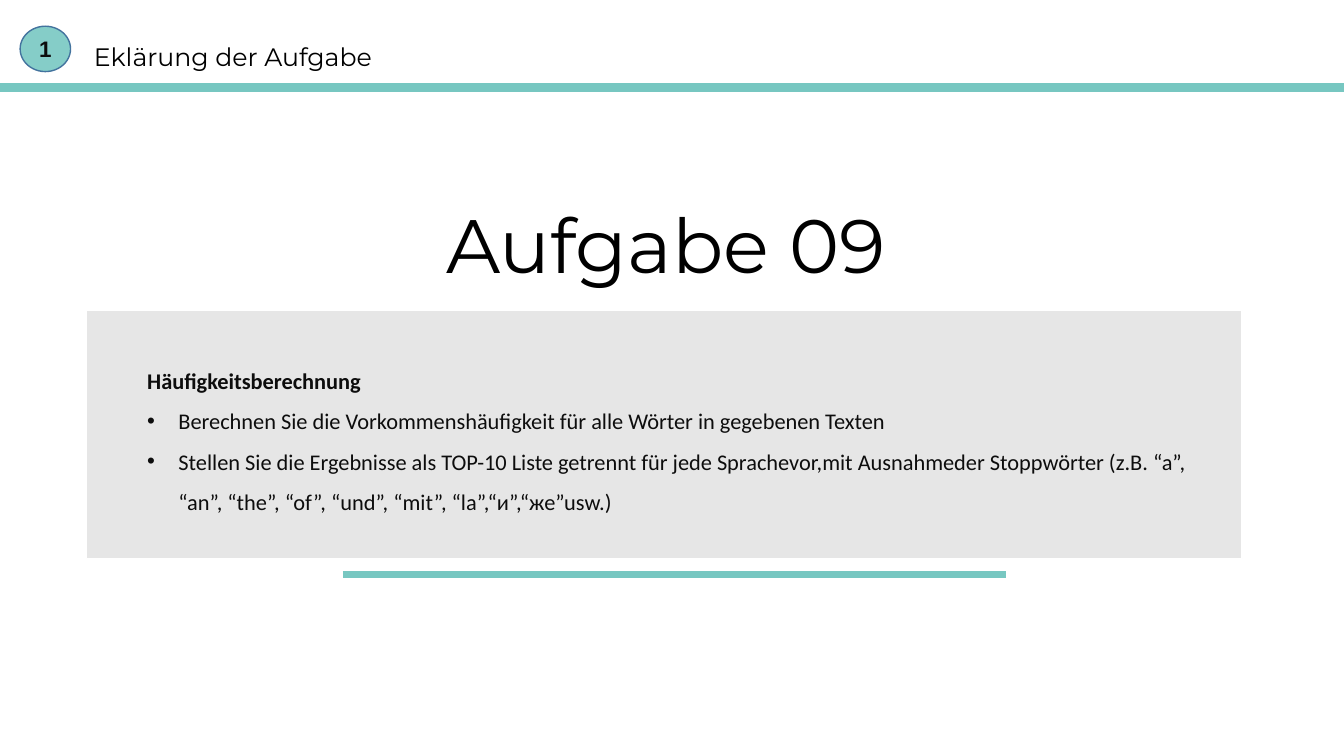
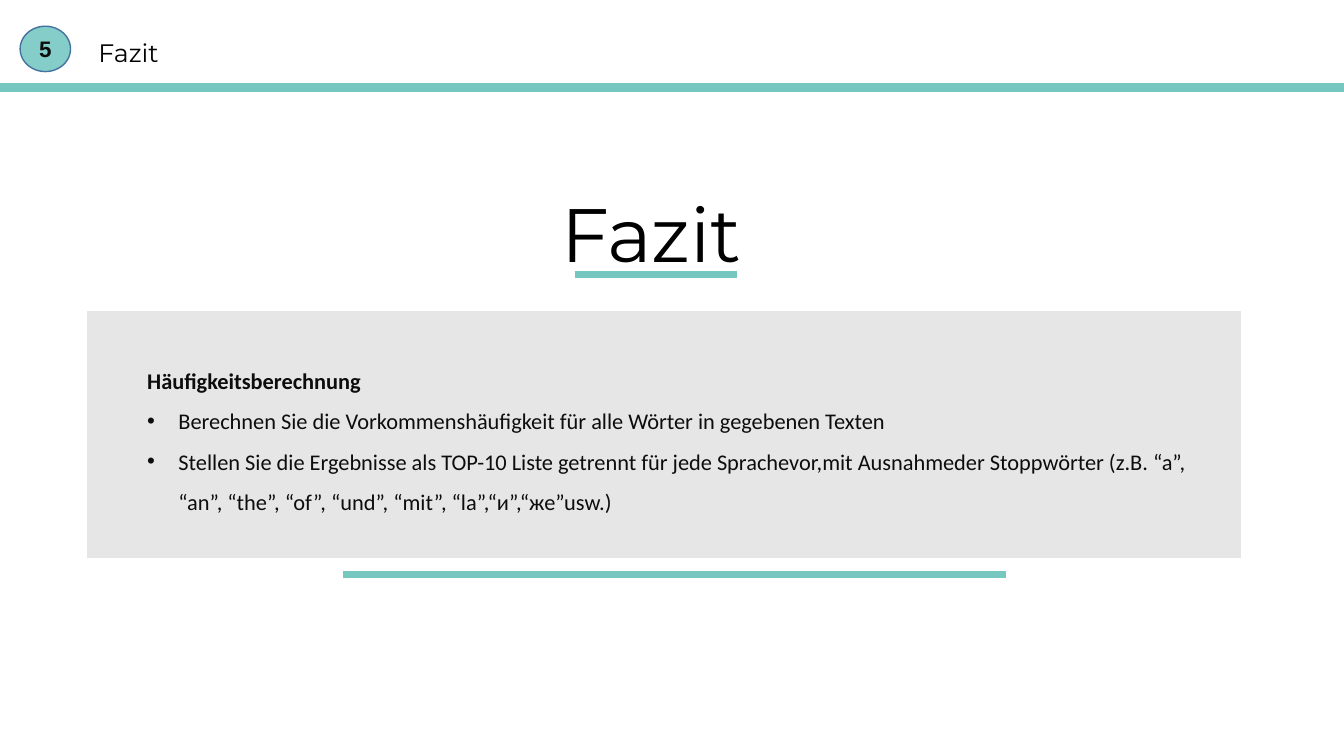
import pptx
import pptx.util
import pptx.dml.color
import pptx.enum.shapes
import pptx.enum.text
import pptx.oxml.ns
import lxml.etree

Inches, Pt = pptx.util.Inches, pptx.util.Pt
Align = pptx.enum.text.PP_ALIGN
Anchor = pptx.enum.text.MSO_ANCHOR
WIDE, HIGH = Inches(13.33), Inches(7.5)

COLOR = {
    "teal": "77C7C1",
    "mint": "85CDC8",
    "blue": "43739E",
    "gray": "E6E6E6",
    "white": "FFFFFF",
    "black": "000000",
    "ink": "0D0D0D",
}
FONT = {
    "title": {"name": "Montserrat", "size": Pt(54), "bold": False},
    "head": {"name": "Montserrat", "size": Pt(18), "bold": False},
    "badge": {"name": "Arial", "size": Pt(16), "bold": True},
    "lead": {"name": "Calibri", "size": Pt(16), "bold": True},
    "point": {"name": "Calibri", "size": Pt(16), "bold": False},
}
SNUG = {"word_wrap": False, "vertical_anchor": Anchor.TOP,
        "auto_size": pptx.enum.text.MSO_AUTO_SIZE.NONE}
MID = {**SNUG, "word_wrap": True, "vertical_anchor": Anchor.MIDDLE}
CENTER = {"alignment": Align.CENTER}
ROW = {"alignment": Align.LEFT, "line_spacing": 1.5,
       "space_before": Pt(0), "space_after": Pt(0)}

LEAD = "Häufigkeitsberechnung"
POINTS = [
    "Berechnen Sie die Vorkommenshäufigkeit für alle Wörter in gegebenen Texten",
    "Stellen Sie die Ergebnisse als TOP-10 Liste getrennt für jede "
    "Sprachevor,mit Ausnahmeder Stoppwörter (z.B. “a”, “an”, “the”, “of”, "
    "“und”, “mit”, “la”,“и”,“же”usw.)",
]
PAGES = [
    {"num": "1", "head": "Eklärung der Aufgabe", "head_at": (5.4, 4.8, 23.86, 5.33),
     "title": "Aufgabe 09", "title_at": (31.28, 25.47, 36.53, 13.47), "rule": None},
    {"num": "5", "head": "Fazit", "head_at": (6.3, 4.27, 6.53, 5.33),
     "title": "Fazit", "title_at": (40.21, 24, 16.5, 13.47), "rule": (42.76, 54.84, 36.27)},
]


def rgb(name):
    return pptx.dml.color.RGBColor.from_string(COLOR[name])


def across(share):
    return round(WIDE * share / 100)


def down(share):
    return round(HIGH * share / 100)


def box(left, top, width, height):
    return across(left), down(top), across(width), down(height)


def style(item, values):
    for key, value in values.items():
        setattr(item, key, value)


def place(shape, at):
    style(shape, dict(zip(("left", "top", "width", "height"), box(*at))))


def paint(shape, fill, line):
    shape.fill.solid()
    shape.fill.fore_color.rgb = rgb(fill)
    shape.line.color.rgb = rgb(line)
    shape.line.width = Pt(1)


def write(para, text, font, color, form):
    style(para, form)
    run = para.add_run()
    run.text = text
    style(run.font, FONT[font])
    run.font.color.rgb = rgb(color)


def label(shape, text, font, color, frame):
    style(shape.text_frame, frame)
    write(shape.text_frame.paragraphs[0], text, font, color, CENTER)


def indent(para, left, hang, mark=None):
    props = para._p.get_or_add_pPr()
    props.set("marL", str(Inches(left)))
    props.set("indent", str(Inches(hang)))
    tag = pptx.oxml.ns.qn("a:buChar" if mark else "a:buNone")
    bullet = lxml.etree.SubElement(props, tag)
    if mark:
        bullet.set("char", mark)


def rule(slide, start, end, level, width):
    line = slide.shapes.add_connector(
        pptx.enum.shapes.MSO_CONNECTOR.STRAIGHT,
        across(start), down(level), across(end), down(level))
    line.line.color.rgb = rgb("teal")
    line.line.width = Pt(width)
    lxml.etree.SubElement(line._element.spPr, pptx.oxml.ns.qn("a:effectLst"))


def header(slide, num, text, at):
    rule(slide, 0, 100, 11.6, 6.5)
    badge = slide.shapes.add_shape(
        pptx.enum.shapes.MSO_SHAPE.OVAL, *box(1.5, 3.47, 3.75, 6))
    badge.shadow.inherit = False
    paint(badge, "mint", "blue")
    label(badge, num, "badge", "ink", MID)
    label(slide.shapes.add_textbox(*box(*at)), text, "head", "black", SNUG)


def panel(slide):
    body = slide.placeholders[1]
    place(body, (6.45, 41.07, 85.97, 32.8))
    paint(body, "gray", "white")
    frame = body.text_frame
    style(frame, MID)
    lead = frame.paragraphs[0]
    write(lead, LEAD, "lead", "ink", ROW)
    indent(lead, 0.5, 0)
    for text in POINTS:
        para = frame.add_paragraph()
        write(para, text, "point", "ink", ROW)
        indent(para, 0.81, -0.31, "•")
    rule(slide, 25.51, 74.87, 76, 5)


def build(deck, page):
    slide = deck.slides.add_slide(deck.slide_layouts[1])
    title = slide.shapes.title
    place(title, page["title_at"])
    label(title, page["title"], "title", "black", SNUG)
    header(slide, page["num"], page["head"], page["head_at"])
    panel(slide)
    if page["rule"]:
        rule(slide, *page["rule"], 5)


def main():
    deck = pptx.Presentation()
    style(deck, {"slide_width": WIDE, "slide_height": HIGH})
    for page in PAGES:
        build(deck, page)
    deck.save("out.pptx")


if __name__ == "__main__":
    main()
